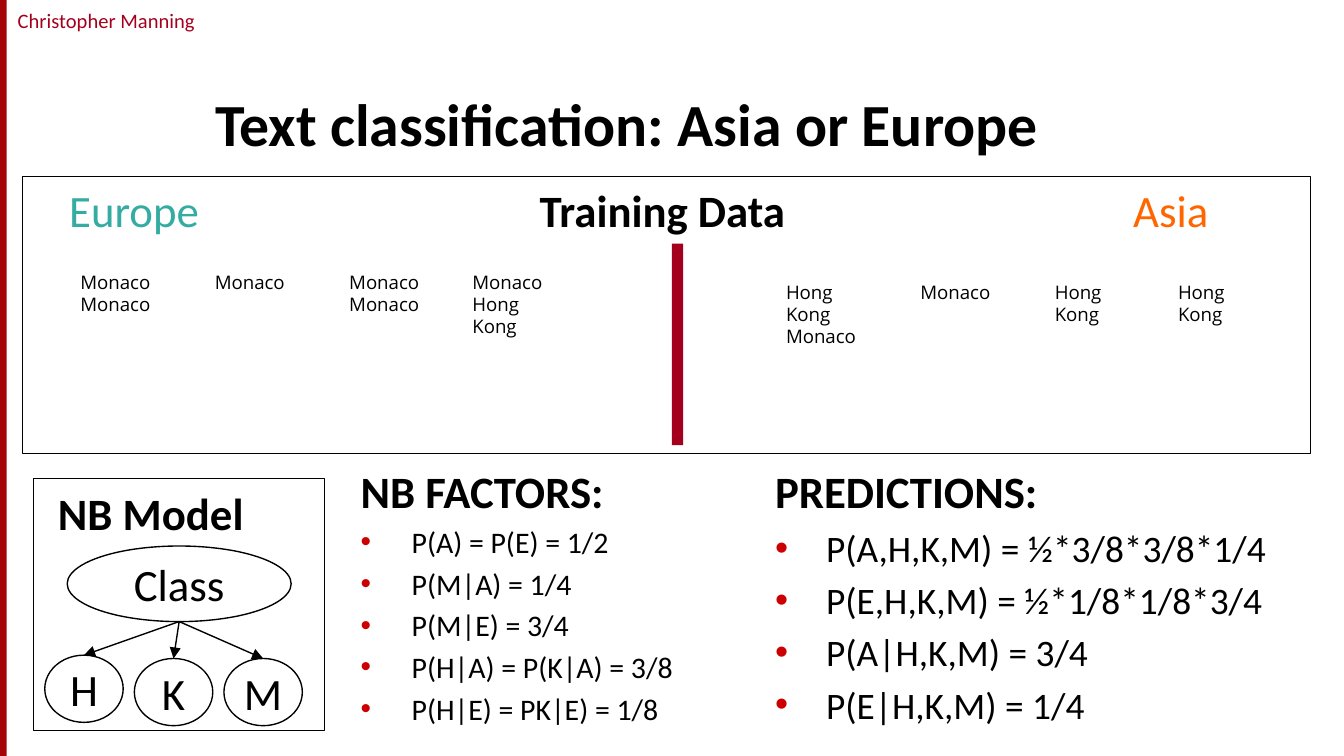
from lxml import etree
from pptx import Presentation
from pptx.dml.color import RGBColor
from pptx.enum.shapes import MSO_CONNECTOR, MSO_SHAPE
from pptx.enum.text import MSO_ANCHOR, MSO_AUTO_SIZE, PP_ALIGN
from pptx.oxml.ns import qn
from pptx.util import Inches, Pt

RECT, OVAL = MSO_SHAPE.RECTANGLE, MSO_SHAPE.OVAL
STRAIGHT = MSO_CONNECTOR.STRAIGHT
LEFT, CENTER = PP_ALIGN.LEFT, PP_ALIGN.CENTER
TOP, MIDDLE, BOTTOM = MSO_ANCHOR.TOP, MSO_ANCHOR.MIDDLE, MSO_ANCHOR.BOTTOM
NO_FIT = MSO_AUTO_SIZE.NONE

BLACK = RGBColor(0x00, 0x00, 0x00)
CRIMSON = RGBColor(0xA4, 0x00, 0x1D)
EDGE_RED = RGBColor(0xA4, 0x05, 0x08)
BULLET_RED = RGBColor(0xCC, 0x00, 0x00)
TEAL = RGBColor(0x35, 0xAC, 0xA2)
ORANGE = RGBColor(0xFF, 0x66, 0x00)

prs = Presentation()
prs.slide_width, prs.slide_height = Inches(10), Inches(5.625)
COL, ROW = prs.slide_width / 120, prs.slide_height / 90
s = prs.slides.add_slide(prs.slide_layouts[3])


def grid(col, row, cols, rows):
    return int(col * COL), int(row * ROW), int(cols * COL), int(rows * ROW)


def write(sp, text, size, color=BLACK, bold=False, font="Calibri", align=LEFT):
    tf = sp.text_frame
    tf.word_wrap = True
    tf.text = text
    p = tf.paragraphs[0]
    p.alignment = align
    f = p.runs[0].font
    f.size, f.bold, f.name, f.color.rgb = Pt(size), bold, font, color


edge = s.shapes.add_shape(RECT, *grid(0, 0, 0.6, 90))
divider = s.shapes.add_shape(RECT, *grid(60, 29, 1, 24))
for sp, color in [(edge, EDGE_RED), (divider, CRIMSON)]:
    sp.shadow.inherit = False
    sp.fill.solid()
    sp.fill.fore_color.rgb = color
    sp.line.fill.background()

author = s.shapes.add_textbox(*grid(1, 0.16, 17, 4.6))
write(author, "Christopher Manning", 11, CRIMSON, align=CENTER)
author.text_frame.margin_left = author.text_frame.margin_right = 0

title = s.shapes.title
title.left, title.top, title.width, title.height = grid(18, 6.7, 98, 13)
write(title, "Text classification: Asia or Europe", 32, bold=True)
title.text_frame.vertical_anchor = BOTTOM
title.text_frame.auto_size = NO_FIT

lists = [
    (1, 31, 35, 16, ["NB FACTORS:", "P(A) = P(E) = 1/2", "P(M|A) = 1/4", "P(M|E) = 3/4",
                     "P(H|A) = P(K|A) = 3/8", "P(H|E) = PK|E) = 1/8"]),
    (2, 68, 48, 20, ["PREDICTIONS:", "P(A,H,K,M) = ½*3/8*3/8*1/4", "P(E,H,K,M) = ½*1/8*1/8*3/4",
                     "P(A|H,K,M) = 3/4", "P(E|H,K,M) = 1/4"]),
]
for idx, col, cols, size, lines in lists:
    sp = s.placeholders[idx]
    sp.left, sp.top, sp.width, sp.height = grid(col, 54.4, cols, 33.3)
    tf = sp.text_frame
    tf.text = "\n".join(lines)
    tf.word_wrap, tf.auto_size, tf.vertical_anchor = True, NO_FIT, TOP
    for i, p in enumerate(tf.paragraphs):
        pPr = p._p.get_or_add_pPr()
        pPr.set("marL", str(Inches(0.38)))
        pPr.set("indent", str(-Inches(0.38)))
        if i == 0:
            etree.SubElement(pPr, qn("a:buNone"))
        else:
            clr = etree.SubElement(pPr, qn("a:buClr"))
            etree.SubElement(clr, qn("a:srgbClr"), val=str(BULLET_RED))
            etree.SubElement(pPr, qn("a:buFont"), typeface="Arial")
            etree.SubElement(pPr, qn("a:buChar"), char="•")
        p.space_before = Pt(0.2 * size if i else 0)
        f = p.runs[0].font
        f.size, f.bold = Pt(size if i else 24), i == 0
        f.name, f.color.rgb = "Calibri", BLACK

headings = [
    ("Europe", 5, 21, 17, TEAL, False),
    ("Training Data", 47, 21, 26, BLACK, True),
    ("Asia", 100, 21, 17, ORANGE, False),
    ("NB Model", 4, 57, 25, BLACK, True),
]
for text, col, row, cols, color, bold in headings:
    write(s.shapes.add_textbox(*grid(col, row, cols, 8)), text, 24, color, bold)

documents = [
    (31.4, [(6, "Monaco Monaco"), (18, "Monaco"), (30, "Monaco Monaco"), (41, "Monaco Hong Kong")]),
    (32.6, [(69, "Hong Kong Monaco"), (81, "Monaco"), (93, "Hong Kong"), (104, "Hong Kong")]),
]
for row, texts in documents:
    for col, text in texts:
        write(s.shapes.add_textbox(*grid(col, row, 9, 7)), text, 10, font="Open Sans")

outlines = [
    (RECT, "", 2, 21, 115, 33),
    (RECT, "", 3, 57, 26, 30),
    (OVAL, "Class", 6, 65, 20, 9),
    (OVAL, "H", 4, 78, 7, 8),
    (OVAL, "K", 12, 78.4, 7, 8),
    (OVAL, "M", 20, 78.4, 7, 8),
]
nodes = {}
for kind, text, *box in outlines:
    sp = s.shapes.add_shape(kind, *grid(*box))
    sp.shadow.inherit = False
    sp.fill.background()
    sp.line.color.rgb, sp.line.width = BLACK, Pt(0.75)
    if text:
        write(sp, text, 24, align=CENTER)
        sp.text_frame.word_wrap = False
        sp.text_frame.vertical_anchor = MIDDLE
        nodes[text] = sp

root = nodes["Class"]
x, y = root.left + root.width // 2, root.top + root.height
for name in "HKM":
    arrow = s.shapes.add_connector(STRAIGHT, x, y, x, y)
    arrow.end_connect(nodes[name], 0)
    arrow.line.color.rgb, arrow.line.width = BLACK, Pt(0.75)
    etree.SubElement(arrow.line._get_or_add_ln(), qn("a:tailEnd"), type="triangle")
    etree.SubElement(arrow._element.spPr, qn("a:effectLst"))

prs.save("out.pptx")
